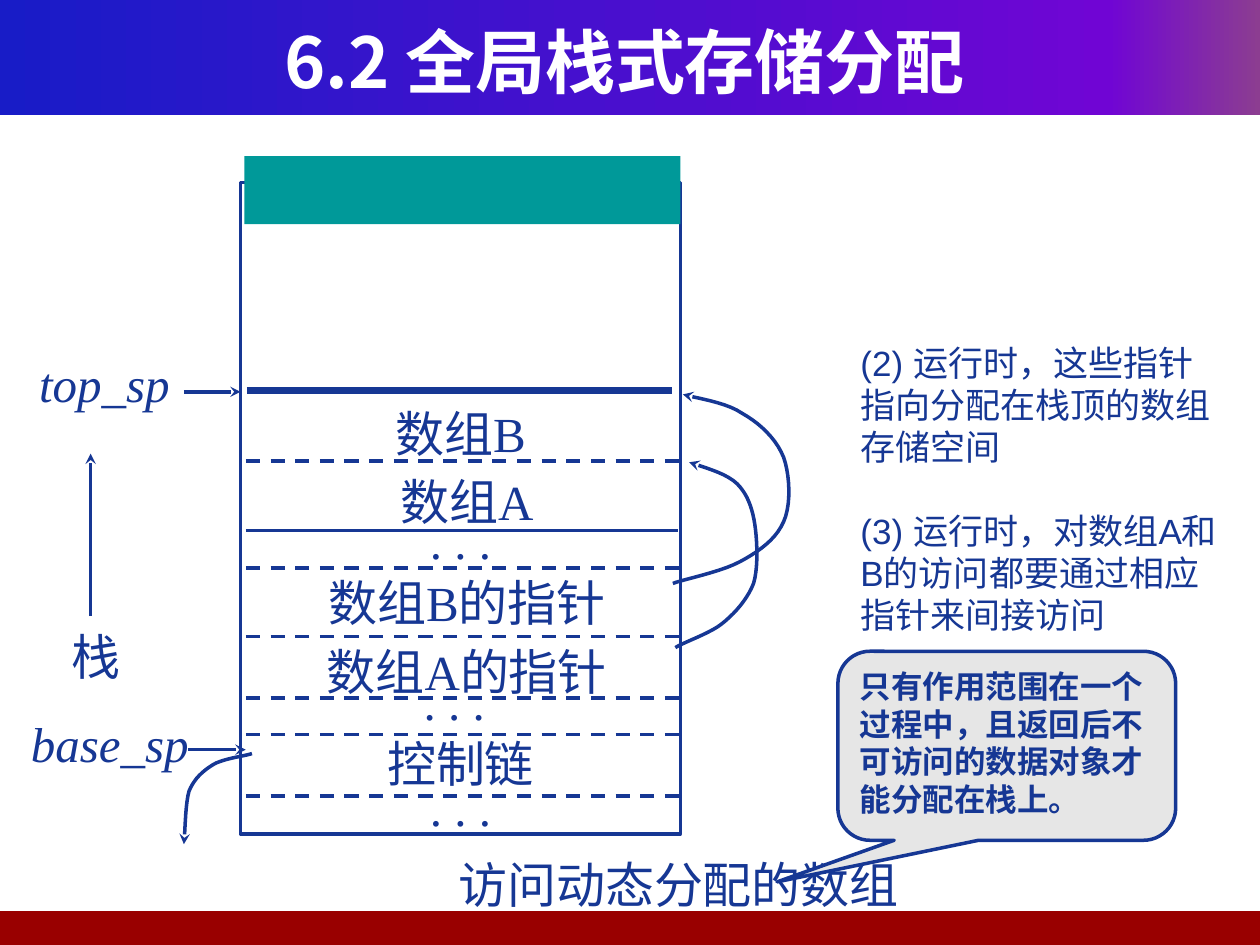
from copy import deepcopy
from pptx import Presentation
from pptx.dml.color import RGBColor
from pptx.enum.dml import MSO_LINE
from pptx.enum.shapes import MSO_CONNECTOR, MSO_SHAPE
from pptx.enum.text import MSO_ANCHOR, PP_ALIGN
from pptx.oxml.ns import qn
from pptx.util import Pt
from lxml.etree import SubElement

NAVY = RGBColor(0x16, 0x37, 0x94)
WHITE = RGBColor(0xFF, 0xFF, 0xFF)
TEAL = RGBColor(0x00, 0x99, 0x99)
MAROON = RGBColor(0x99, 0x00, 0x00)
GREY = RGBColor(0xE6, 0xE6, 0xE6)
HEADER_STOPS = [(0, RGBColor(0x18, 0x1C, 0xC7)), (0.88, RGBColor(0x70, 0x05, 0xD4)),
                (1, RGBColor(0x8C, 0x3D, 0x91))]
CJK_FONT = "Noto Sans CJK SC"
SERIF = "Times New Roman"
LABEL_INSETS = (7.2, 6.5, 7.2, 3.6)


def add_span(para, text, size, font, color=NAVY, bold=False, italic=False):
    span = para.add_run()
    span.text = text
    span.font.size = Pt(size)
    span.font.name = font
    span.font.bold = bold
    span.font.italic = italic
    span.font.color.rgb = color
    SubElement(span.font._element, qn("a:ea"), typeface=CJK_FONT)


def add_text_box(page, left, top, width, height, insets=(7.2, 3.6, 7.2, 3.6)):
    box = page.shapes.add_textbox(Pt(left), Pt(top), Pt(width), Pt(height))
    frame = box.text_frame
    frame.word_wrap = True
    frame.margin_left, frame.margin_top, frame.margin_right, frame.margin_bottom = map(Pt, insets)
    return frame


def add_label(page, left, top, width, height, text, **style):
    para = add_text_box(page, left, top, width, height, LABEL_INSETS).paragraphs[0]
    para.alignment = PP_ALIGN.CENTER
    add_span(para, text, 28, SERIF, **style)
    return para


def add_block(page, kind, left, top, width, height, fill=None, line=None):
    block = page.shapes.add_shape(kind, Pt(left), Pt(top), Pt(width), Pt(height))
    block.shadow.inherit = False
    if fill is None:
        block.fill.background()
    else:
        block.fill.solid()
        block.fill.fore_color.rgb = fill
    if line is None:
        block.line.fill.background()
    else:
        block.line.color.rgb = line
        block.line.width = Pt(2)
    return block


def add_arrowhead(shape):
    SubElement(shape.line._get_or_add_ln(), qn("a:tailEnd"), type="stealth")


def add_line(page, x1, y1, x2, y2, width=2, dashed=False, arrow=False):
    line = page.shapes.add_connector(MSO_CONNECTOR.STRAIGHT, Pt(x1), Pt(y1), Pt(x2), Pt(y2))
    line.line.color.rgb = NAVY
    line.line.width = Pt(width)
    if dashed:
        line.line.dash_style = MSO_LINE.DASH
    if arrow:
        add_arrowhead(line)
    SubElement(line._element.spPr, qn("a:effectLst"))


def bezier_points(controls, steps=10):
    points = [controls[0]]
    for start in range(0, len(controls) - 1, 3):
        a, b, c, d = controls[start:start + 4]
        for step in range(1, steps + 1):
            t = step / steps
            u = 1 - t
            points.append(tuple(u**3 * p + 3 * u * u * t * q + 3 * u * t * t * r + t**3 * s
                                for p, q, r, s in zip(a, b, c, d)))
    return points


def add_curved_arrow(page, left, top, controls):
    points = [(Pt(left + x), Pt(top + y)) for x, y in bezier_points(controls)]
    builder = page.shapes.build_freeform(*points[0], scale=1.0)
    builder.add_line_segments(points[1:], close=False)
    curve = builder.convert_to_shape()
    curve.shadow.inherit = False
    curve.fill.background()
    curve.line.color.rgb = NAVY
    curve.line.width = Pt(2)
    add_arrowhead(curve)


def add_header(page, left, top, width, height):
    band = add_block(page, MSO_SHAPE.RECTANGLE, left, top, width, height)
    band.fill.gradient()
    band.fill.gradient_angle = 0
    stop_list = band._element.find(".//" + qn("a:gsLst"))
    stop_list.append(deepcopy(stop_list[-1]))
    for stop, (position, color) in zip(band.fill.gradient_stops, HEADER_STOPS):
        stop.position = position
        stop.color.rgb = color
    frame = add_text_box(page, left + 23.8, top + 12.2, 666, 44.6)
    frame.vertical_anchor = MSO_ANCHOR.MIDDLE
    frame.paragraphs[0].alignment = PP_ALIGN.CENTER
    add_span(frame.paragraphs[0], "6.2 全局栈式存储分配", 40, CJK_FONT, WHITE, bold=True)


def add_stack(page, left, top, width, height):
    rows = [("数组B", -0.7, 119.5), ("数组A", 2.9, 158.4), (". . .", -0.7, 180.7),
            ("数组B的指针", 2.9, 216), ("数组A的指针", 2.9, 255.6), (". . .", -4.3, 272.9),
            ("控制链", -0.7, 308.2), (". . .", -0.7, 333.4)]
    for text, x, y in rows:
        add_label(page, left + x, top + y, 252.7, 40, text)
    add_block(page, MSO_SHAPE.RECTANGLE, left, top, width, height, line=NAVY)
    add_block(page, MSO_SHAPE.RECTANGLE, left + 2.2, top - 15.1, width - 2.2, 38.9, fill=TEAL)
    for y in (159.1, 220.3, 259.2, 294.5, 315.4, 350.6):
        add_line(page, left + 3, top + y, left + 251, top + y, dashed=True)
    add_line(page, left + 3, top + 198.7, left + 250, top + 198.7)
    add_line(page, left + 3.6, top + 118.8, left + 246.3, top + 118.8, width=4)


def add_stack_pointers(page, left, top):
    for text, x, y, width in [("top_sp", -124.5, 91.4, 95.8), ("base_sp", -128.1, 296.6, 106.6)]:
        para = add_label(page, left + x, top + y, width, 38.9, text, italic=True)
        add_span(para, " ", 10, SERIF, italic=True)
    add_line(page, left - 32.4, top + 119.5, left, top + 119.5, arrow=True)
    add_line(page, left - 30.2, top + 324, left + 2.9, top + 324, arrow=True)
    add_line(page, left - 85.7, top + 247.7, left - 85.7, top + 154.8, arrow=True)
    add_label(page, left - 110.9, top + 247, 56.9, 38.9, "栈")
    control_link = [(6.5, 326.2), (2.9, 327.6), (-10.1, 329), (-15.8, 332.6), (-21.6, 336.2),
                    (-26.6, 340.6), (-29.5, 347.8), (-31.7, 355.7), (-31.7, 372.2), (-32.4, 378)]
    array_a_link = [(248.4, 265.7), (252.7, 262.8), (267.9, 257.8), (275.1, 252),
                    (282.3, 246.2), (289.5, 238.3), (293.1, 229), (295.9, 219.6),
                    (295.2, 204.5), (293.8, 195.1), (292.3, 185.8), (289.5, 177.8),
                    (283.7, 172.1), (277.2, 165.6), (262.1, 162), (256.3, 159.8)]
    array_b_link = [(247, 229), (252.7, 226.8), (274.3, 222.5), (285.1, 216.7),
                    (295.9, 211), (306, 203.8), (310.3, 193.7), (314.7, 184.3),
                    (313.9, 167), (310.3, 157), (306, 146.2), (296.7, 137.5),
                    (286.6, 131.8), (277.2, 125.3), (259.9, 123.1), (252.7, 121)]
    for controls in (control_link, array_a_link, array_b_link):
        add_curved_arrow(page, left, top, controls)


def add_notes_column(page, left, top, width, height):
    frame = add_text_box(page, left, top, width, height, (4.3, 6.5, 4.3, 3.6))
    add_span(frame.paragraphs[0], "(2) 运行时，这些指针指向分配在栈顶的数组存储空间", 20, "Arial")
    para = frame.add_paragraph()
    para.space_before = Pt(24)
    add_span(para, "(3) 运行时，对数组A和B的访问都要通过相应指针来间接访问", 20, "Arial")


def add_callout(page, left, top, width, height):
    callout = add_block(page, MSO_SHAPE.ROUNDED_RECTANGULAR_CALLOUT, left, top, width, height,
                        fill=GREY, line=NAVY)
    for index, value in enumerate((-0.68, 0.72, 0.17)):
        callout.adjustments[index] = value
    frame = callout.text_frame
    frame.word_wrap = True
    frame.vertical_anchor = MSO_ANCHOR.TOP
    frame.paragraphs[0].alignment = PP_ALIGN.LEFT
    add_span(frame.paragraphs[0], "只有作用范围在一个过程中，且返回后不可访问的数据对象才能分配在栈上。",
             18, "Lato", bold=True)


def add_caption(page, left, top, width, height):
    para = add_text_box(page, left, top, width, height).paragraphs[0]
    para.alignment = PP_ALIGN.CENTER
    add_span(para, "访问动态分配的数组", 28, "Arial")


def main():
    deck = Presentation()
    deck.slide_width, deck.slide_height = Pt(720), Pt(540)
    page = deck.slides.add_slide(deck.slide_layouts[6])
    add_header(page, 0, 0, 720, 65.5)
    add_block(page, MSO_SHAPE.RECTANGLE, -2.9, 520.6, 722.9, 19.4, fill=MAROON)
    add_caption(page, 143.3, 484.6, 488.9, 40.3)
    add_notes_column(page, 487.4, 188.6, 212.4, 308.2)
    add_stack(page, 137.5, 104.4, 251.3, 372.2)
    add_stack_pointers(page, 137.5, 104.4)
    add_callout(page, 478.8, 372.2, 193, 108)
    deck.save("out.pptx")


if __name__ == "__main__":
    main()
